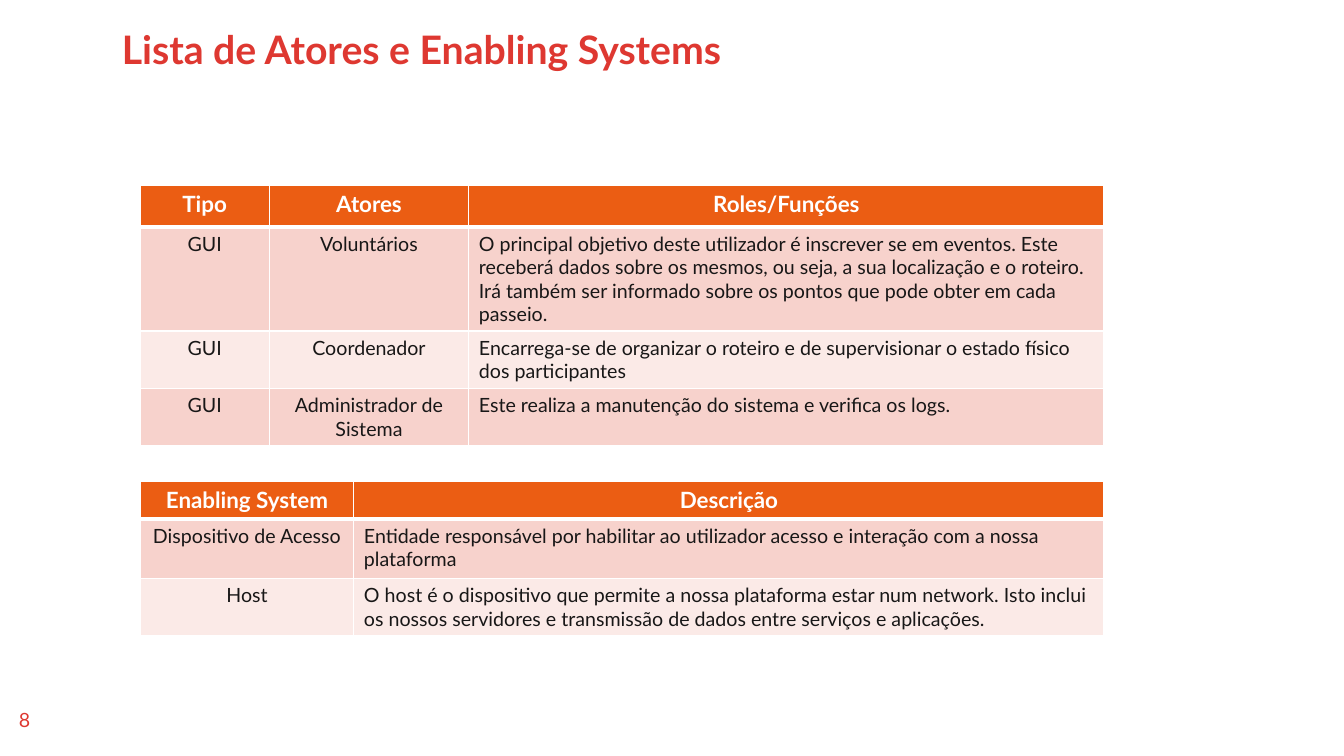
from lxml import etree
from pptx import Presentation
from pptx import util as u
from pptx.dml import color
from pptx.enum import text
from pptx.oxml import ns

RED, ORANGE, WHITE, INK = "DE3831", "EB5D13", "FFFFFF", "181717"
BANDS = ["F7D2CC", "FBEAE7"]


def rgb(code):
    return color.RGBColor.from_string(code)


class ActorsSlide:
    """Holds the font and the current slide, and draws its elements."""

    font = "Lato"

    def __init__(self, deck):
        self.slide = deck.slides.add_slide(deck.slide_layouts[6])

    def set_words(self, frame, words, size, ink, bold=False, centred=False):
        frame.text = words
        frame.word_wrap = True
        paragraph = frame.paragraphs[0]
        paragraph.alignment = text.PP_ALIGN.CENTER if centred else text.PP_ALIGN.LEFT
        for run in paragraph.runs:
            run.font.name = self.font
            run.font.size = u.Pt(size)
            run.font.bold = bold
            run.font.color.rgb = rgb(ink)
        return paragraph

    def label(self, box, words, size, **style):
        area = self.slide.shapes.add_textbox(*map(u.Inches, box))
        return self.set_words(area.text_frame, words, size, RED, **style)

    def borders(self, cell, row):
        properties = cell._tc.get_or_add_tcPr()
        top = 3 if row == 1 else 1
        bottom = 3 if row == 0 else 1
        for side, width in (("L", 1), ("R", 1), ("T", top), ("B", bottom)):
            line = etree.SubElement(properties, ns.qn(f"a:ln{side}"), w=str(u.Pt(width)))
            fill = etree.SubElement(line, ns.qn("a:solidFill"))
            etree.SubElement(fill, ns.qn("a:srgbClr"), val=WHITE)

    def table(self, left, top, widths, heights, rows):
        box = map(u.Inches, (left, top, sum(widths), sum(heights)))
        grid = self.slide.shapes.add_table(len(rows), len(widths), *box).table
        for column, width in zip(grid.columns, widths):
            column.width = u.Inches(width)
        for r, (height, row) in enumerate(zip(heights, rows)):
            grid.rows[r].height = u.Inches(height)
            header = r == 0
            for c, words in enumerate(row):
                cell = grid.cell(r, c)
                self.borders(cell, r)
                cell.fill.solid()
                cell.fill.fore_color.rgb = rgb(ORANGE if header else BANDS[(r - 1) % 2])
                # Only the last column's descriptions are left-aligned
                self.set_words(cell.text_frame, words, 16 if header else 14,
                               WHITE if header else INK, bold=header,
                               centred=header or c < len(row) - 1)


def main():
    deck = Presentation()
    deck.slide_width, deck.slide_height = u.Inches(13.33), u.Inches(7.5)
    page = ActorsSlide(deck)

    # Title and page number
    title = page.label((1.11, 0.25, 10.41, 0.45), "Lista de Atores e Enabling Systems",
                       28, bold=True)
    title.line_spacing = 0.9
    page.label((0.01, 6.97, 0.47, 0.4), "8", 14, centred=True)

    # Actors
    page.table(1.39, 1.84, [1.28, 1.98, 6.3], [0.41, 1.03, 0.57, 0.57], [
        ("Tipo", "Atores", "Roles/Funções"),
        ("GUI", "Voluntários",
         "O principal objetivo deste utilizador é inscrever se em eventos. Este receberá "
         "dados sobre os mesmos, ou seja, a sua localização e o roteiro. Irá também ser "
         "informado sobre os pontos que pode obter em cada passeio."),
        ("GUI", "Coordenador",
         "Encarrega-se de organizar o roteiro e de supervisionar o estado físico dos "
         "participantes"),
        ("GUI", "Administrador de Sistema",
         "Este realiza a manutenção do sistema e verifica os logs."),
    ])

    # Enabling systems
    page.table(1.39, 4.78, [2.12, 7.44], [0.36, 0.59, 0.57], [
        ("Enabling System", "Descrição"),
        ("Dispositivo de Acesso",
         "Entidade responsável por habilitar ao utilizador acesso e interação com a nossa "
         "plataforma"),
        ("Host",
         "O host é o dispositivo que permite a nossa plataforma estar num network. Isto "
         "inclui os nossos servidores e transmissão de dados entre serviços e aplicações."),
    ])

    deck.save("out.pptx")


if __name__ == "__main__":
    main()
